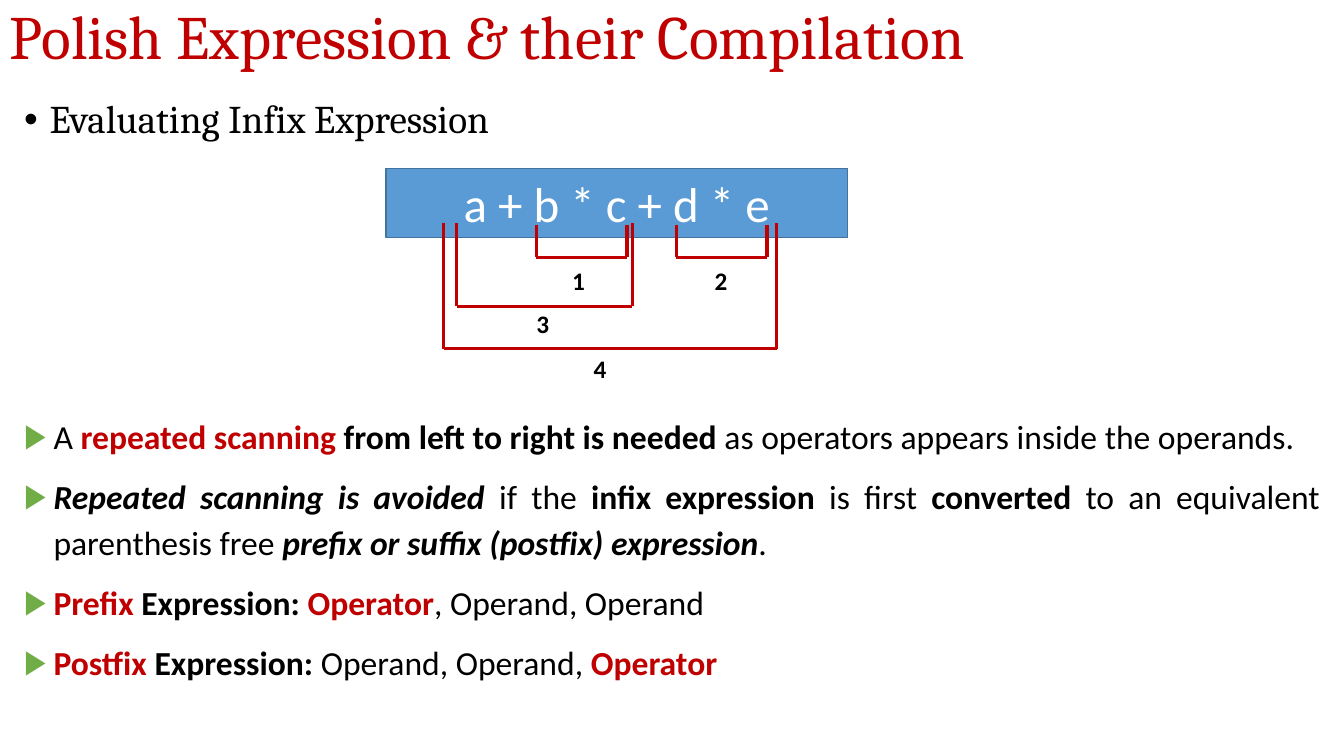
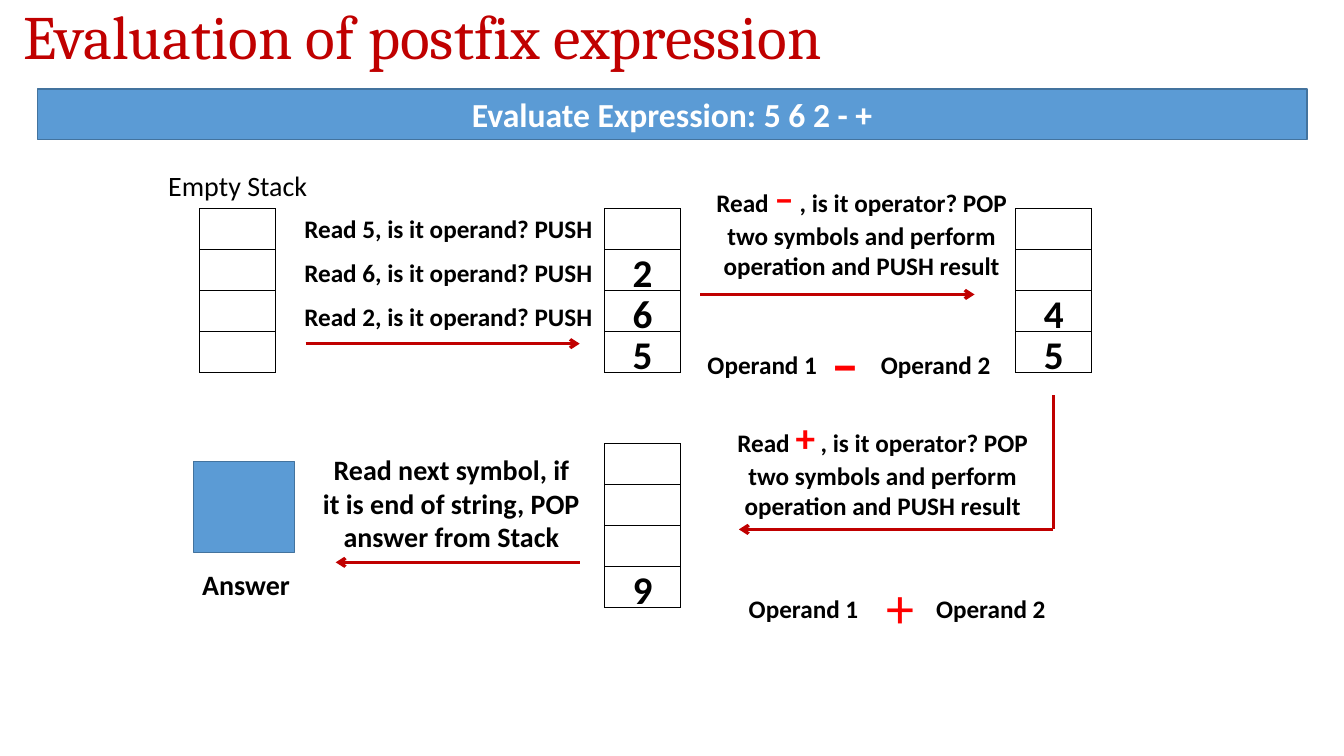
from dataclasses import dataclass, field
from itertools import pairwise
from typing import Any

from lxml.etree import SubElement
from pptx import Presentation
from pptx.dml.color import RGBColor
from pptx.enum.shapes import MSO_CONNECTOR, MSO_SHAPE
from pptx.enum.text import MSO_ANCHOR, PP_ALIGN
from pptx.oxml.ns import qn
from pptx.slide import Slide
from pptx.util import Cm, Pt


@dataclass(frozen=True)
class Theme:
    red: str = "C00000"
    bright_red: str = "FF0000"
    blue: str = "5B9BD5"
    blue_edge: str = "43739E"
    green: str = "70AD47"
    black: str = "000000"
    white: str = "FFFFFF"
    body_font: str = "Calibri"
    title_font: str = "Cambria"
    title: int = 44
    sign: int = 40
    expression: int = 35
    heading: int = 28
    body: int = 24
    caption: int = 20
    label: int = 18
    line: float = 2.25
    border: float = 1


THEME = Theme()
BOLD = {"bold": True}
BOLD_RED = {"bold": True, "color": THEME.red}
BOLD_ITALIC = {"bold": True, "italic": True}


@dataclass(frozen=True)
class Area:
    left: float
    top: float
    width: float
    height: float

    def lengths(self) -> tuple[Cm, Cm, Cm, Cm]:
        return Cm(self.left), Cm(self.top), Cm(self.width), Cm(self.height)


@dataclass(frozen=True)
class Span:
    text: str
    style: dict[str, Any] = field(default_factory=dict)


@dataclass(frozen=True)
class Bullet:
    mark: str
    color: str
    indent: float


@dataclass(frozen=True)
class Bracket:
    label: str
    left: float
    right: float
    top: float
    bottom: float
    label_center: float
    label_top: float


@dataclass(frozen=True)
class Stack:
    left: float
    top: float
    values: str


@dataclass(frozen=True)
class Operation:
    symbol: str
    sign_bold: bool
    prompt_left: float
    prompt_top: float
    operand_left: float
    sign_left: float
    operand_top: float


SLIDE_WIDTH, SLIDE_HEIGHT = 33.87, 19.05
CELL_WIDTH, CELL_HEIGHT, STACK_DEPTH = 1.91, 1.03, 4

HEADING_BULLET = Bullet("•", THEME.black, 0.64)
BODY_BULLET = Bullet("▶", THEME.green, 0.74)

BRACKETS = [
    Bracket("1", 13.51, 15.8, 5.66, 6.48, 14.58, 6.55),
    Bracket("2", 17.04, 19.33, 5.66, 6.48, 18.17, 6.55),
    Bracket("3", 11.51, 15.93, 5.61, 7.72, 13.68, 7.65),
    Bracket("4", 11.18, 19.58, 5.61, 8.79, 15.12, 8.79),
]

BODY = [
    [Span("A "), Span("repeated scanning ", BOLD_RED),
     Span("from left to right is needed ", BOLD),
     Span("as operators appears inside the operands.")],
    [Span("Repeated scanning is avoided ", BOLD_ITALIC), Span("if the "),
     Span("infix expression ", BOLD), Span("is first "), Span("converted", BOLD),
     Span(" to an equivalent parenthesis free "),
     Span("prefix or suffix (postfix) expression", BOLD_ITALIC), Span(".")],
    [Span("Prefix", BOLD_RED), Span(" Expression: ", BOLD),
     Span("Operator", BOLD_RED), Span(", Operand, Operand")],
    [Span("Postfix ", BOLD_RED), Span("Expression:", BOLD),
     Span(" Operand, Operand, "), Span("Operator", BOLD_RED)],
]

STACKS = [
    Stack(5.03, 5.26, ""),
    Stack(15.24, 5.26, "562"),
    Stack(25.6, 5.26, "54"),
    Stack(15.24, 11.18, "9"),
]

OPERATIONS = [
    Operation("–", True, 17.5, 4.24, 17.58, 20.68, 8.69),
    Operation("+", False, 18.03, 10.29, 18.62, 22.07, 14.83),
]

ARROWS = [
    [(7.7, 8.66), (14.61, 8.66)],
    [(17.65, 7.42), (24.56, 7.42)],
    [(26.54, 9.96), (26.54, 13.34), (18.62, 13.34)],
    [(14.61, 14.17), (8.46, 14.17)],
]


def fill_paragraph(para: Any, spans: list[Span], style: dict[str, Any]) -> None:
    base = {"name": THEME.body_font, "color": THEME.black, "bold": False}
    for span in spans:
        run = para.add_run()
        run.text = span.text
        for name, value in (base | style | span.style).items():
            if name == "color":
                run.font.color.rgb = RGBColor.from_string(value)
            else:
                setattr(run.font, name, Pt(value) if name == "size" else value)


def add_bullet(para: Any, bullet: Bullet) -> None:
    properties = para._p.get_or_add_pPr()
    properties.set("marL", str(Cm(bullet.indent)))
    properties.set("indent", str(-Cm(bullet.indent)))
    color = SubElement(properties, qn("a:buClr"))
    SubElement(color, qn("a:srgbClr"), val=bullet.color)
    SubElement(properties, qn("a:buFont"), typeface="Arial")
    SubElement(properties, qn("a:buChar"), char=bullet.mark)


def add_text(page: Slide, area: Area, paragraphs: list[list[Span]], size: float,
             style: dict[str, Any] | None = None, layout: dict[str, Any] | None = None,
             bullet: Bullet | None = None, anchor: MSO_ANCHOR = MSO_ANCHOR.TOP) -> None:
    frame = page.shapes.add_textbox(*area.lengths()).text_frame
    frame.word_wrap = True
    frame.vertical_anchor = anchor
    for index, spans in enumerate(paragraphs):
        para = frame.add_paragraph() if index else frame.paragraphs[0]
        for name, value in (layout or {}).items():
            setattr(para, name, value)
        if bullet:
            add_bullet(para, bullet)
        fill_paragraph(para, spans, {"size": size} | (style or {}))


def add_label(page: Slide, area: Area, text: str, size: float = THEME.label,
              centered: bool = False, **style: Any) -> None:
    layout = {"alignment": PP_ALIGN.CENTER} if centered else {}
    add_text(page, area, [[Span(text)]], size, BOLD | style, layout)


def add_title(page: Slide, text: str) -> None:
    add_text(page, Area(0, 0, SLIDE_WIDTH, 1.98), [[Span(text)]], THEME.title,
             {"name": THEME.title_font, "color": THEME.red},
             {"line_spacing": 0.9}, anchor=MSO_ANCHOR.MIDDLE)


def add_blue_box(page: Slide, area: Area, text: str = "", **style: Any) -> None:
    box = page.shapes.add_shape(MSO_SHAPE.RECTANGLE, *area.lengths())
    box.shadow.inherit = False
    box.fill.solid()
    box.fill.fore_color.rgb = RGBColor.from_string(THEME.blue)
    box.line.color.rgb = RGBColor.from_string(THEME.blue_edge)
    box.line.width = Pt(THEME.border)
    if text:
        box.text_frame.vertical_anchor = MSO_ANCHOR.MIDDLE
        para = box.text_frame.paragraphs[0]
        para.alignment = PP_ALIGN.CENTER
        fill_paragraph(para, [Span(text)], {"color": THEME.white} | style)


def add_path(page: Slide, points: list[tuple[float, float]], arrow: bool = False) -> None:
    for start, end in pairwise(points):
        line = page.shapes.add_connector(
            MSO_CONNECTOR.STRAIGHT, *(Cm(value) for value in start + end))
        line.line.color.rgb = RGBColor.from_string(THEME.red)
        line.line.width = Pt(THEME.line)
        if arrow and end == points[-1]:
            SubElement(line.line._get_or_add_ln(), qn("a:tailEnd"), type="arrow")
        SubElement(line._element.spPr, qn("a:effectLst"))


def add_bracket(page: Slide, bracket: Bracket) -> None:
    add_path(page, [(bracket.left, bracket.top), (bracket.left, bracket.bottom),
                    (bracket.right, bracket.bottom), (bracket.right, bracket.top)])
    add_label(page, Area(bracket.label_center - 0.5, bracket.label_top, 1, 1.02),
              bracket.label, centered=True)


def add_stack(page: Slide, stack: Stack) -> None:
    area = Area(stack.left, stack.top, CELL_WIDTH, CELL_HEIGHT * STACK_DEPTH)
    table = page.shapes.add_table(STACK_DEPTH, 1, *area.lengths()).table
    table.first_row = table.horz_banding = False
    for cell in table.iter_cells():
        cell.margin_top = cell.margin_bottom = 0
        for side in ("lnL", "lnR", "lnT", "lnB"):
            border = SubElement(cell._tc.get_or_add_tcPr(), qn(f"a:{side}"),
                                w=str(Pt(THEME.border)))
            SubElement(SubElement(border, qn("a:solidFill")), qn("a:srgbClr"),
                       val=THEME.black)
        cell.fill.background()
    for level, value in enumerate(stack.values, start=1):
        top = stack.top + (STACK_DEPTH - level) * CELL_HEIGHT - 0.16
        add_label(page, Area(stack.left, top, CELL_WIDTH, 1.45), value,
                  THEME.heading, centered=True)


def add_operation(page: Slide, operation: Operation) -> None:
    prompt = [Span("Read "),
              Span(operation.symbol, {"size": THEME.heading, "color": THEME.bright_red}),
              Span(" , is it operator? POP two symbols and perform operation and PUSH result")]
    add_text(page, Area(operation.prompt_left, operation.prompt_top, 8.43, 3),
             [prompt], THEME.label, BOLD, {"alignment": PP_ALIGN.CENTER})
    sign_width = 1.27
    lefts = (operation.operand_left, operation.sign_left + sign_width)
    for number, left in enumerate(lefts, start=1):
        add_label(page, Area(left, operation.operand_top, 3.48, 1.02), f"Operand {number}")
    add_label(page, Area(operation.sign_left, operation.operand_top - 0.54, sign_width, 1.96),
              operation.symbol, THEME.sign, centered=True,
              color=THEME.bright_red, bold=operation.sign_bold)


def build_infix_page(page: Slide) -> None:
    add_title(page, "Polish Expression & their Compilation")
    justified = {"alignment": PP_ALIGN.JUSTIFY, "space_before": Pt(10)}
    add_text(page, Area(0.36, 2.39, 33.15, 1.37), [[Span("Evaluating Infix Expression")]],
             THEME.heading, {"name": THEME.title_font},
             justified | {"line_spacing": 0.9}, HEADING_BULLET)
    add_blue_box(page, Area(9.73, 4.24, 11.63, 1.75), "a + b * c + d * e",
                 size=THEME.expression)
    for bracket in BRACKETS:
        add_bracket(page, bracket)
    add_text(page, Area(0.36, 10.21, 33.15, 7.54), BODY, THEME.body,
             layout=justified | {"line_spacing": 1.14}, bullet=BODY_BULLET)


def build_postfix_page(page: Slide) -> None:
    add_title(page, " Evaluation of postfix expression")
    add_blue_box(page, Area(0.94, 2.24, 32, 1.27), "Evaluate Expression: 5 6 2 - +",
                 size=THEME.body, bold=True)
    for stack in STACKS:
        add_stack(page, stack)
    for arrow in ARROWS:
        add_path(page, arrow, arrow=True)
    add_label(page, Area(3.99, 4.11, 4.3, 1.12), "Empty Stack", THEME.caption, bold=False)
    for row, operand in enumerate("562"):
        add_label(page, Area(7.42, 5.26 + 1.11 * row, 8.03, 1.02),
                  f"Read {operand}, is it operand? PUSH")
    for operation in OPERATIONS:
        add_operation(page, operation)
    add_blue_box(page, Area(4.88, 11.63, 2.54, 2.29))
    add_label(page, Area(7.87, 11.28, 7.01, 2.82),
              "Read next symbol, if it is end of string, POP answer from Stack",
              THEME.caption, centered=True)
    add_label(page, Area(4.78, 14.17, 2.84, 1.12), "Answer", THEME.caption, centered=True)


def main() -> None:
    deck = Presentation()
    deck.slide_width, deck.slide_height = Cm(SLIDE_WIDTH), Cm(SLIDE_HEIGHT)
    for build_page in (build_infix_page, build_postfix_page):
        build_page(deck.slides.add_slide(deck.slide_layouts[6]))
    deck.save("out.pptx")


if __name__ == "__main__":
    main()
